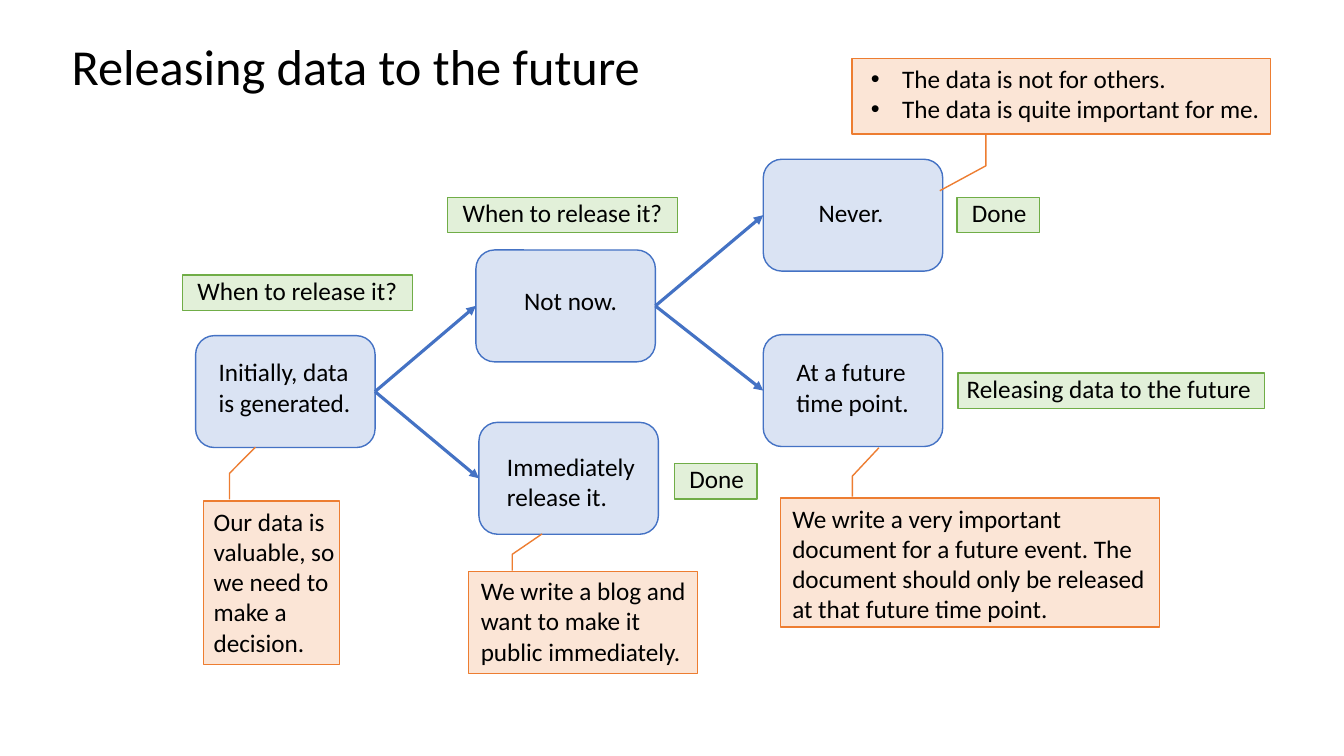
from dataclasses import dataclass

from lxml import etree
from pptx import Presentation
from pptx.dml.color import RGBColor
from pptx.enum.shapes import MSO_CONNECTOR, MSO_SHAPE
from pptx.enum.text import MSO_ANCHOR, MSO_AUTO_SIZE, PP_ALIGN
from pptx.oxml.ns import qn
from pptx.util import Inches, Pt

ROUNDED = MSO_SHAPE.ROUNDED_RECTANGLE
RECTANGLE = MSO_SHAPE.RECTANGLE
CALLOUT = MSO_SHAPE.LINE_CALLOUT_2
STRAIGHT = MSO_CONNECTOR.STRAIGHT
TOP, LEFT = MSO_ANCHOR.TOP, PP_ALIGN.LEFT
GROW = MSO_AUTO_SIZE.SHAPE_TO_FIT_TEXT

FONT = "Calibri"
COLORS = {
    "text": "000000",
    "step": "DAE3F3", "step_line": "4472C4",
    "label": "E2F0D9", "label_line": "70AD47",
    "note": "FBE5D6", "note_line": "ED7D31",
}
STEP_W, STEP_H, STEP_TEXT_W = 1.78, 1.11, 1.52
LABEL_H, LABEL_TEXT_H = 0.35, 0.4
BULLET_INDENT = 0.31


@dataclass
class Step:
    name: str
    x: float
    y: float
    text: str
    text_x: float
    text_y: float
    text_h: float


@dataclass
class Label:
    x: float
    y: float
    w: float
    text: str
    text_x: float
    text_w: float


@dataclass
class Note:
    box: tuple[float, float, float, float]  # as seen, after rotation
    leader: tuple[float, ...]
    lines: tuple[str, ...]
    text_box: tuple[float, float, float, float]
    above: bool = False  # sits above its step, with bullets


STEPS = [
    Step("start", 1.94, 3.33, "Initially, data is generated.", 2.07, 3.49, 0.71),
    Step("now", 4.75, 4.19, "Immediately release it.", 4.93, 4.43, 0.71),
    Step("later", 4.72, 2.48, "Not now.", 5.1, 2.78, 0.4),
    Step("never", 7.57, 1.58, "Never.", 8.02, 1.91, 0.4),
    Step("future", 7.57, 3.32, "At a future time point.", 7.8, 3.49, 0.71),
]
ARROWS = [("start", "later"), ("start", "now"), ("later", "never"), ("later", "future")]
LABELS = [
    Label(1.81, 2.73, 2.28, "When to release it?", 1.86, 2.68),
    Label(4.44, 1.96, 2.28, "When to release it?", 4.49, 2.68),
    Label(6.69, 4.6, 0.82, "Done", 6.74, 0.97),
    Label(9.49, 1.96, 0.82, "Done", 9.54, 2.68),
    Label(9.5, 3.7, 3.04, "Releasing data to the future", 9.49, 3.13),
]
NOTES = [
    Note((2.02, 4.97, 1.35, 1.62), (0.19, -0.01, 0.19, -0.17, 0.38, -0.33),
         ("Our data is valuable, so we need to make a decision.",),
         (2.02, 4.97, 1.52, 1.62)),
    Note((4.65, 5.67, 2.27, 1.01), (0.19, -0.01, 0.19, -0.17, 0.32, -0.37),
         ("We write a blog and want to make it public immediately.",),
         (4.67, 5.66, 2.28, 1.01)),
    Note((7.74, 4.94, 3.76, 1.28), (0.19, -0.01, 0.19, -0.17, 0.26, -0.39),
         ("We write a very important document for a future event. "
          "The document should only be released at that future time point.",),
         (7.76, 4.94, 3.74, 1.31)),
    Note((8.45, 0.58, 4.15, 0.75), (0.32, 0.01, 0.32, -0.42, 0.21, -0.75),
         ("The data is not for others.", "The data is quite important for me."),
         (8.54, 0.58, 4.27, 0.71), above=True),
]


def rgb(name: str) -> RGBColor:
    return RGBColor.from_string(COLORS[name])


def add_run(p, text: str, size: float) -> None:
    r = p.add_run()
    r.text = text
    r.font.name, r.font.size = FONT, Pt(size)
    r.font.color.rgb = rgb("text")


def add_text(s, box: tuple, lines: tuple[str, ...], bullets: bool = False) -> None:
    tf = s.shapes.add_textbox(*map(Inches, box)).text_frame
    tf.word_wrap = True
    tf.auto_size = GROW
    for i, line in enumerate(lines):
        p = tf.paragraphs[0] if i == 0 else tf.add_paragraph()
        if bullets:
            pPr = p._p.get_or_add_pPr()
            pPr.set("marL", str(Inches(BULLET_INDENT)))
            pPr.set("indent", str(-Inches(BULLET_INDENT)))
            etree.SubElement(pPr, qn("a:buFont")).set("typeface", "Arial")
            etree.SubElement(pPr, qn("a:buChar")).set("char", "•")
        add_run(p, line, 18)


def add_box(s, kind, box: tuple, color: str):
    sp = s.shapes.add_shape(kind, *map(Inches, box))
    sp.shadow.inherit = False
    sp.fill.solid()
    sp.fill.fore_color.rgb = rgb(color)
    sp.line.color.rgb = rgb(color + "_line")
    sp.line.width = Pt(1)
    return sp


def add_step(s, step: Step):
    sp = add_box(s, ROUNDED, (step.x, step.y, STEP_W, STEP_H), "step")
    add_text(s, (step.text_x, step.text_y, STEP_TEXT_W, step.text_h), (step.text,))
    return sp


def add_arrow(s, source, target) -> None:
    line = s.shapes.add_connector(STRAIGHT, 0, 0, 0, 0)
    line.begin_connect(source, 3)
    line.end_connect(target, 1)
    line.line.color.rgb = rgb("step_line")
    line.line.width = Pt(2.25)
    spPr = line._element.spPr
    etree.SubElement(spPr.find(qn("a:ln")), qn("a:tailEnd")).set("type", "triangle")
    etree.SubElement(spPr, qn("a:effectLst"))


def add_label(s, label: Label) -> None:
    add_box(s, RECTANGLE, (label.x, label.y, label.w, LABEL_H), "label")
    add_text(s, (label.text_x, label.y - 0.05, label.text_w, LABEL_TEXT_H), (label.text,))


def add_note(s, note: Note) -> None:
    # A quarter turn swaps width and height about the centre
    x, y, w, h = note.box
    shift = (w - h) / 2
    sp = add_box(s, CALLOUT, (x + shift, y - shift, h, w), "note")
    for i, value in enumerate(note.leader):
        sp.adjustments[i] = value
    sp.rotation = 270 if note.above else 90
    if not note.above:
        sp._element.spPr.find(qn("a:xfrm")).set("flipV", "1")
    add_text(s, note.text_box, note.lines, bullets=note.above)


def add_title(s, text: str) -> None:
    title = s.shapes.title
    title.left, title.top, title.width, title.height = map(Inches, (0.61, 0.3, 5.89, 0.71))
    tf = title.text_frame
    tf.word_wrap = False
    tf.auto_size = GROW
    tf.vertical_anchor = TOP
    p = tf.paragraphs[0]
    p.alignment = LEFT
    add_run(p, text, 36)


def main() -> None:
    prs = Presentation()
    prs.slide_width, prs.slide_height = Inches(13.33), Inches(7.5)
    s = prs.slides.add_slide(prs.slide_layouts[5])
    add_title(s, "Releasing data to the future")

    # Decision tree
    boxes = {step.name: add_step(s, step) for step in STEPS}
    for source, target in ARROWS:
        add_arrow(s, boxes[source], boxes[target])

    # Questions, outcomes and explanations
    for label in LABELS:
        add_label(s, label)
    for note in NOTES:
        add_note(s, note)

    prs.save("out.pptx")


if __name__ == "__main__":
    main()
